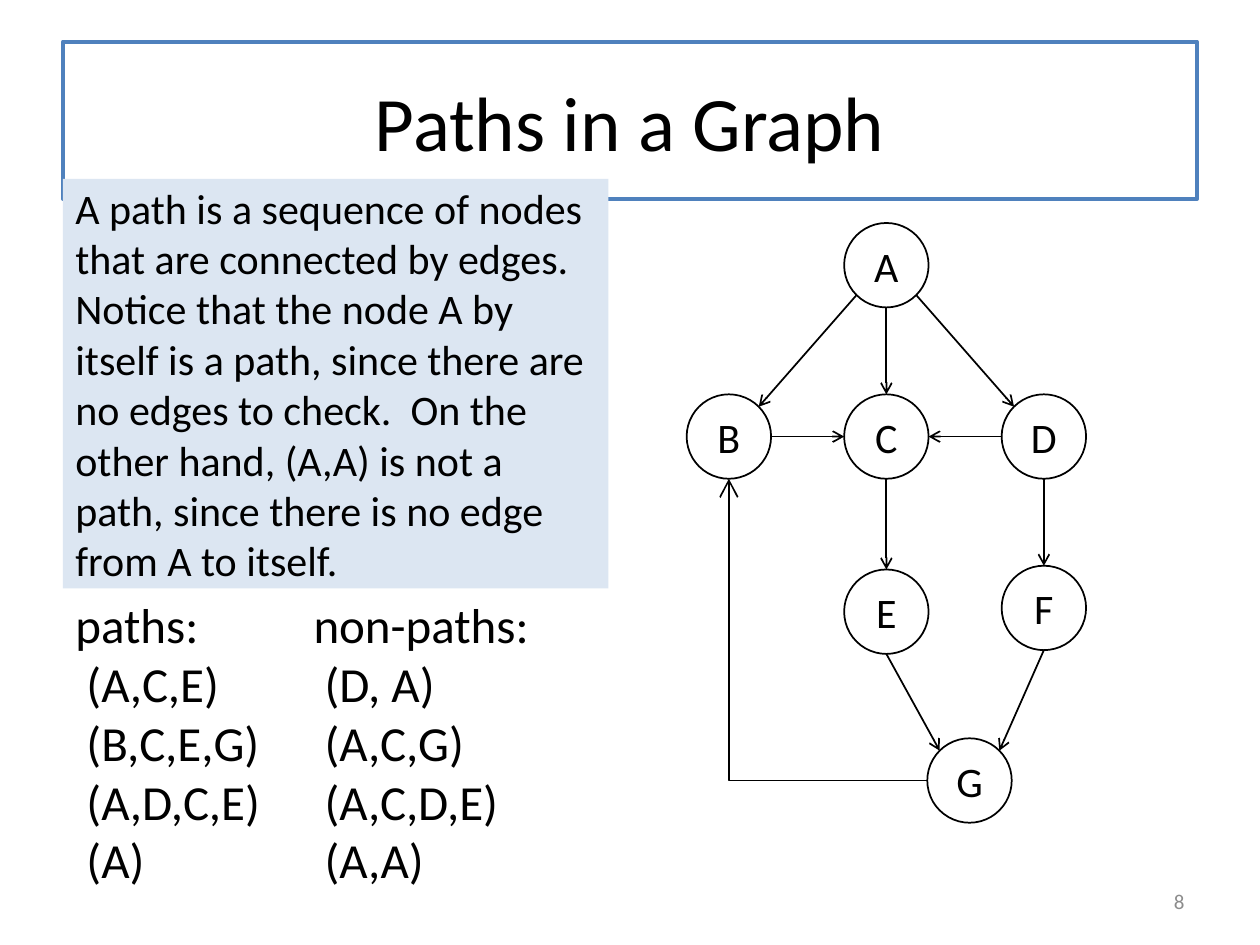
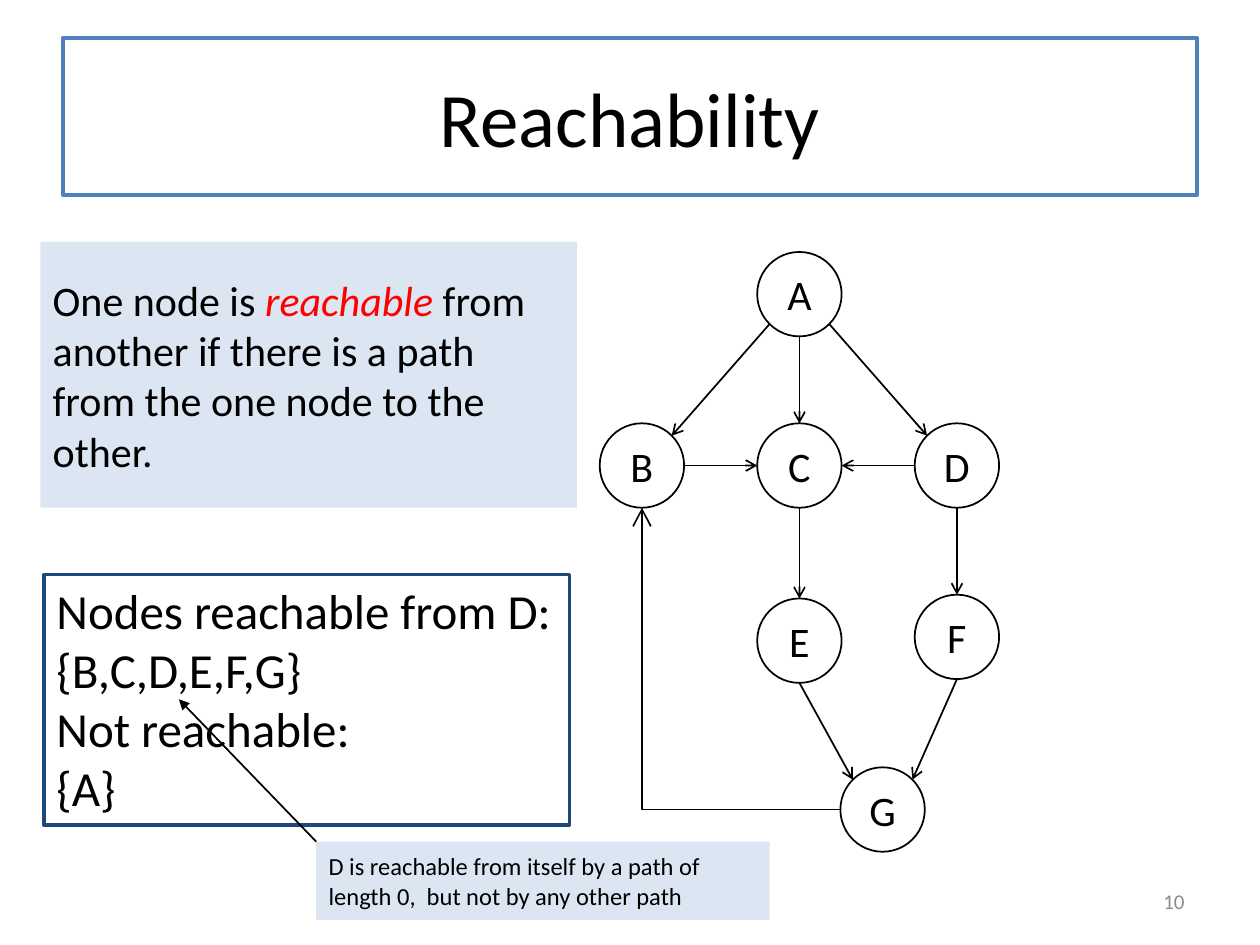
import math

import pptx
import pptx.dml.color
import pptx.enum.shapes
import pptx.enum.text
import pptx.oxml
import pptx.oxml.ns
import pptx.util
from pptx.util import Inches

COLORS = {
    "ink": "000000",
    "paper": "FFFFFF",
    "title_line": "4F81BD",
    "answer_line": "1F497D",
    "note_fill": "DCE6F2",
    "page_number": "8C8C8C",
    "accent": "FF0000",
}
FONT = "Calibri"
SHAPES = pptx.enum.shapes.MSO_SHAPE
CONNECTORS = pptx.enum.shapes.MSO_CONNECTOR
ALIGN = pptx.enum.text.PP_ALIGN
ANCHOR = pptx.enum.text.MSO_ANCHOR

# Graph layout, measured from the left of node B and the top of node A.
NODE_SIZE = 0.67
COLUMN = 1.25
NODES = {
    "A": (COLUMN, 0),
    "B": (0, 1.36),
    "C": (COLUMN, 1.36),
    "D": (2 * COLUMN, 1.36),
    "E": (COLUMN, 2.75),
    "F": (2 * COLUMN, 2.72),
    "G": (1.91, 4.09),
}
# Where an edge meets a node, as a direction from its centre in degrees.
RIGHT, LOWER_RIGHT, BOTTOM, LOWER_LEFT = 0, 45, 90, 135
LEFT, UPPER_LEFT, TOP, UPPER_RIGHT = 180, 225, 270, 315
EDGES = [
    ("A", LOWER_LEFT, "B", UPPER_RIGHT),
    ("A", LOWER_RIGHT, "D", UPPER_LEFT),
    ("A", BOTTOM, "C", TOP),
    ("B", RIGHT, "C", LEFT),
    ("D", LEFT, "C", RIGHT),
    ("C", BOTTOM, "E", TOP),
    ("D", BOTTOM, "F", TOP),
    ("E", BOTTOM, "G", UPPER_LEFT),
    ("F", BOTTOM, "G", UPPER_RIGHT),
]


def rgb(name):
    return pptx.dml.color.RGBColor.from_string(COLORS[name])


def write(shape, paragraphs, size=24, color="ink", align=ALIGN.LEFT,
          anchor=ANCHOR.MIDDLE, wrap=True):
    """Fill a shape with paragraphs, each a string or a list of (text, accented)."""
    frame = shape.text_frame
    frame.word_wrap = wrap
    frame.vertical_anchor = anchor
    if not wrap:
        frame.auto_size = pptx.enum.text.MSO_AUTO_SIZE.SHAPE_TO_FIT_TEXT
    for index, content in enumerate(paragraphs):
        para = frame.paragraphs[0] if index == 0 else frame.add_paragraph()
        para.alignment = align
        spans = [(content, False)] if isinstance(content, str) else content
        for text, accented in spans:
            span = para.add_run()
            span.text = text
            span.font.name = FONT
            span.font.size = pptx.util.Pt(size)
            span.font.italic = accented
            span.font.color.rgb = rgb("accent" if accented else color)


def add_box(shapes, box, paragraphs, kind=SHAPES.RECTANGLE, fill="paper",
            line=None, width=1, **text_format):
    shape = shapes.add_shape(kind, *map(Inches, box))
    shape.shadow.inherit = False
    shape.fill.solid()
    shape.fill.fore_color.rgb = rgb(fill)
    if line:
        shape.line.color.rgb = rgb(line)
        shape.line.width = pptx.util.Pt(width)
    else:
        shape.line.fill.background()
    write(shape, paragraphs, **text_format)


def add_text(page, box, paragraphs, **text_format):
    write(page.shapes.add_textbox(*map(Inches, box)), paragraphs, **text_format)


def add_arrow(shapes, start, end, head="arrow", head_size="med",
              kind=CONNECTORS.STRAIGHT):
    arrow = shapes.add_connector(kind, *map(Inches, (*start, *end)))
    arrow.line.color.rgb = rgb("ink")
    arrow.line.width = pptx.util.Pt(1)
    properties = arrow._element.spPr
    qn = pptx.oxml.ns.qn
    tip = properties.find(qn("a:ln")).makeelement(
        qn("a:tailEnd"), {"type": head, "w": head_size, "len": head_size})
    properties.find(qn("a:ln")).append(tip)
    properties.append(properties.makeelement(qn("a:effectLst"), {}))
    return arrow


def add_corner_arrow(shapes, start, end):
    """Run left from start, then up to end."""
    arrow = add_arrow(shapes, end, start, head_size="lg", kind=CONNECTORS.ELBOW)
    properties = arrow._element.spPr
    properties.find(pptx.oxml.ns.qn("a:prstGeom")).set("prst", "bentConnector2")
    properties.find(pptx.oxml.ns.qn("a:xfrm")).set("rot", "10800000")


def add_graph(page, left, top):
    shapes = page.shapes.add_group_shape().shapes

    def rim(node, angle):
        x, y = NODES[node]
        radius = NODE_SIZE / 2
        return (left + x + radius + radius * math.cos(math.radians(angle)),
                top + y + radius + radius * math.sin(math.radians(angle)))

    for name, (x, y) in NODES.items():
        add_box(shapes, (left + x, top + y, NODE_SIZE, NODE_SIZE), [name],
                kind=SHAPES.OVAL, line="ink", align=ALIGN.CENTER)
    for source, leave, target, arrive in EDGES:
        add_arrow(shapes, rim(source, leave), rim(target, arrive))
    add_corner_arrow(shapes, rim("G", LEFT), rim("B", BOTTOM))


def add_page(deck, title, number, title_top):
    page = deck.slides.add_slide(deck.slide_layouts[6])
    add_box(page.shapes, (0.5, title_top, 9, 1.25), [title], line="title_line",
            width=2.25, size=44, align=ALIGN.CENTER)
    add_text(page, (7.17, 6.95, 2.33, 0.4), [number], size=12,
             color="page_number", align=ALIGN.RIGHT)
    return page


def add_paths_page(deck):
    page = add_page(deck, "Paths in a Graph", "8", 0.33)
    path_lists = [
        (0.5, 1.68, ["paths:", " (A,C,E)", " (B,C,E,G)", " (A,D,C,E)", " (A)"]),
        (2.39, 1.93, ["non-paths:", " (D, A)", " (A,C,G)", " (A,C,D,E)", " (A,A)"]),
    ]
    for left, width, lines in path_lists:
        add_text(page, (left, 4.67, width, 2.46), lines, size=28,
                 anchor=ANCHOR.TOP, wrap=False)
    add_graph(page, 5.45, 1.77)
    add_box(page.shapes, (0.5, 1.42, 4.33, 3.25), [
        "A path is a sequence of nodes that are connected by edges.  "
        "Notice that the node A by itself is a path, since there are no edges "
        "to check.  On the other hand, (A,A) is not a path, since there is no "
        "edge from A to itself."], fill="note_fill")


def add_reachability_page(deck):
    page = add_page(deck, "Reachability", "10", 0.3)
    add_graph(page, 4.76, 2)
    add_box(page.shapes, (0.35, 4.56, 4.17, 1.99),
            ["Nodes reachable from D:", "{B,C,D,E,F,G}", "Not reachable:", "{A}"],
            line="answer_line", width=2, size=28, anchor=ANCHOR.TOP, wrap=False)
    add_box(page.shapes, (0.32, 1.92, 4.26, 2.11), [[
        ("One node is ", False), ("reachable ", True),
        ("from another if there is a path from the one node to the other.", False),
    ]], fill="note_fill")
    note_left, note_top = 2.51, 6.68
    add_box(page.shapes, (note_left, note_top, 3.6, 0.62), [
        "D is reachable from itself by a path of length 0,  "
        "but not by any other path"], fill="note_fill", size=14)
    add_arrow(page.shapes, (note_left, note_top), (1.42, 5.55), head="triangle")


def main():
    deck = pptx.Presentation()
    deck.slide_width, deck.slide_height = Inches(10), Inches(7.5)
    add_paths_page(deck)
    add_reachability_page(deck)
    deck.save("out.pptx")


if __name__ == "__main__":
    main()
